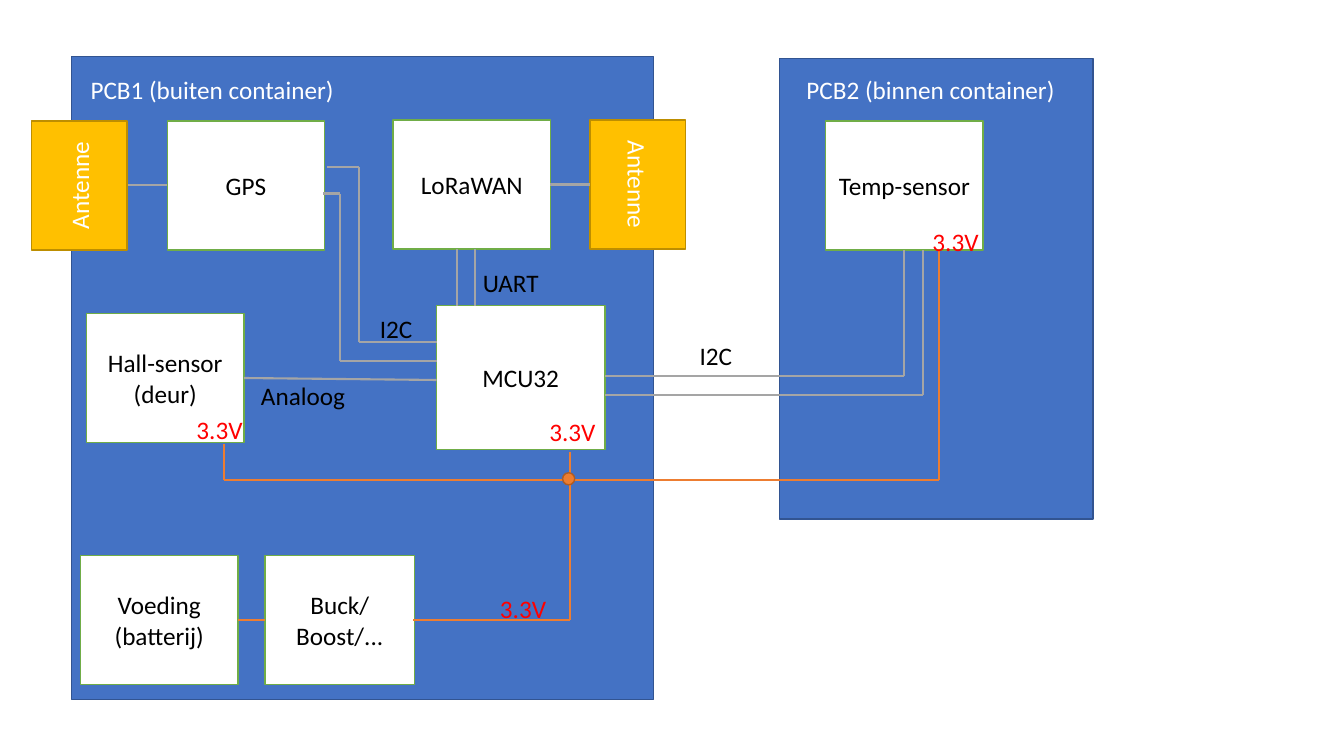
from dataclasses import dataclass
from itertools import pairwise

from lxml.etree import SubElement
from pptx import Presentation
from pptx.dml.color import RGBColor
from pptx.enum.shapes import MSO_CONNECTOR, MSO_SHAPE
from pptx.enum.text import MSO_ANCHOR, MSO_AUTO_SIZE, PP_ALIGN
from pptx.oxml.ns import qn
from pptx.util import Inches, Pt


@dataclass(frozen=True)
class Theme:
    """Colours, type and line widths of the diagram."""
    board: str = "4472C4"
    board_edge: str = "325491"
    module: str = "FFFFFF"
    module_edge: str = "70AD47"
    antenna: str = "FFC000"
    antenna_edge: str = "BD8E00"
    signal: str = "A5A5A5"
    power: str = "ED7D31"
    node_edge: str = "AF5C24"
    light: str = "FFFFFF"
    dark: str = "000000"
    voltage: str = "FF0000"
    font: str = "Calibri"
    size: float = 18
    edge: float = 1
    wire: float = 1.5


THEME = Theme()
CELL = 0.1  # inches per grid column and row
MODULE_WIDTH, MODULE_HEIGHT = 15.6, 12.8
ANTENNA_WIDTH = 9.5
LABEL_HEIGHT = 4
TOP_ROW, SENSOR_ROW, SUPPLY_ROW = 12, 31.1, 55.1


def grid(*cells):
    """Turn grid counts into slide lengths."""
    return [Inches(count * CELL) for count in cells]


def colour(code):
    """Turn a hex code into a colour."""
    return RGBColor.from_string(code)


def write(frame, text, color=THEME.dark, align=PP_ALIGN.LEFT):
    """Put one formatted paragraph in a text frame."""
    para = frame.paragraphs[0]
    para.alignment = align
    span = para.add_run()
    span.text = text
    span.font.name = THEME.font
    span.font.size = Pt(THEME.size)
    span.font.color.rgb = colour(color)


def add_block(page, area, fill, edge, kind=MSO_SHAPE.RECTANGLE):
    """Add a filled and outlined shape."""
    block = page.shapes.add_shape(kind, *grid(*area))
    block.shadow.inherit = False
    block.fill.solid()
    block.fill.fore_color.rgb = colour(fill)
    block.line.color.rgb = colour(edge)
    block.line.width = Pt(THEME.edge)
    return block


def write_centred(block, text, color=THEME.dark):
    """Put a name in the middle of a block."""
    frame = block.text_frame
    frame.word_wrap = True
    frame.vertical_anchor = MSO_ANCHOR.MIDDLE
    write(frame, text, color=color, align=PP_ALIGN.CENTER)


def add_module(page, text, left, top, width=MODULE_WIDTH, height=MODULE_HEIGHT):
    """Add a white component with a centred name."""
    block = add_block(page, (left, top, width, height), THEME.module, THEME.module_edge)
    write_centred(block, text)


def add_antenna(page, left, top, direction):
    """Add an antenna whose name runs vertically."""
    block = add_block(page, (left, top, ANTENNA_WIDTH, MODULE_HEIGHT),
                      THEME.antenna, THEME.antenna_edge)
    block.element.txBody.find(qn("a:bodyPr")).set("vert", direction)
    write_centred(block, "Antenne", color=THEME.light)


def add_label(page, text, left, top, width, color=THEME.dark, wrap=True):
    """Add a free text label."""
    box = page.shapes.add_textbox(*grid(left, top, width, LABEL_HEIGHT))
    frame = box.text_frame
    frame.word_wrap = wrap
    frame.auto_size = MSO_AUTO_SIZE.SHAPE_TO_FIT_TEXT
    write(frame, text, color=color)


def add_wire(page, color, *corners):
    """Join successive corners with straight lines."""
    for start, end in pairwise(corners):
        line = page.shapes.add_connector(MSO_CONNECTOR.STRAIGHT, *grid(*start, *end))
        line.line.color.rgb = colour(color)
        line.line.width = Pt(THEME.wire)
        SubElement(line.element.spPr, qn("a:effectLst"))


def add_boards(page):
    """Add both boards with their components."""
    for area in ((7.1, 5.6, 57.7, 63.8), (77.3, 5.8, 31.1, 45.7)):
        add_block(page, area, THEME.board, THEME.board_edge)
    add_label(page, "PCB1 (buiten container)", 8, 6.9, 27, color=THEME.light)
    add_label(page, "PCB2 (binnen container)", 79, 6.9, 28.5, color=THEME.light)

    add_module(page, "MCU32", 43.3, 30.3, width=16.7, height=14.3)
    add_module(page, "Voeding (batterij)", 8, SUPPLY_ROW)
    add_module(page, "Buck/Boost/...", 26.3, SUPPLY_ROW, width=14.8)
    add_module(page, "Hall-sensor (deur)", 8.6, SENSOR_ROW)
    add_module(page, "Temp-sensor", 81.9, TOP_ROW)
    add_module(page, "GPS", 16.6, TOP_ROW)
    add_module(page, "LoRaWAN", 39, TOP_ROW - 0.1)
    add_antenna(page, 3.1, TOP_ROW, "vert270")
    add_antenna(page, 58.5, TOP_ROW - 0.1, "vert")


def add_signals(page):
    """Add the grey data wires."""
    routes = (
        ((16.6, 18.4), (12.7, 18.4)),
        ((58.5, 18.3), (54.5, 18.3)),
        ((43.3, 37.7), (24.2, 37.5)),
        ((43.3, 33.9), (35.6, 33.9), (35.6, 16.6), (32.4, 16.6)),
        ((43.3, 35.8), (33.7, 35.8), (33.7, 19.2), (32, 19.2)),
        ((89.7, 24.8), (89.7, 37.3), (60, 37.3)),
        ((91.5, 24.8), (91.5, 39.2), (60, 39.2)),
        ((45.3, 24.7), (45.3, 30.4)),
        ((47.1, 24.7), (47.1, 30.4)),
    )
    for route in routes:
        add_wire(page, THEME.signal, *route)


def add_power(page):
    """Add the orange supply wires and their junction."""
    junction = (56.5, 47.6)
    routes = (
        ((23.6, 61.5), (26.3, 61.5)),
        ((41, 61.5), (56.5, 61.5), (56.5, 44.8)),
        (junction, (22.2, 47.6), (22.2, 44)),
        (junction, (93.1, 47.6), (93.1, 24.7)),
    )
    for route in routes:
        add_wire(page, THEME.power, *route)
    add_block(page, (55.8, 46.9, 1.2, 1.2), THEME.power, THEME.node_edge, MSO_SHAPE.OVAL)


def add_wire_labels(page):
    """Name the buses and mark the supply voltage."""
    for left, top, width in ((53.5, 40.8, 7.4), (18.5, 40.6, 7.4),
                             (91.5, 22, 7.4), (48.6, 58.4, 10.7)):
        add_label(page, "3.3V", left, top, width, color=THEME.voltage)
    add_label(page, "I2C", 36.7, 30.6, 5.3, wrap=False)
    add_label(page, "Analoog", 24.9, 37.2, 13.3)
    add_label(page, "I2C", 68.4, 33.3, 5.9)
    add_label(page, "UART", 46.9, 26, 7.6, wrap=False)


def main():
    """Build and save the circuit overview."""
    deck = Presentation()
    deck.slide_width, deck.slide_height = Inches(13.33), Inches(7.5)
    page = deck.slides.add_slide(deck.slide_layouts[6])
    add_boards(page)
    add_signals(page)
    add_power(page)
    add_wire_labels(page)
    deck.save("out.pptx")


main()
